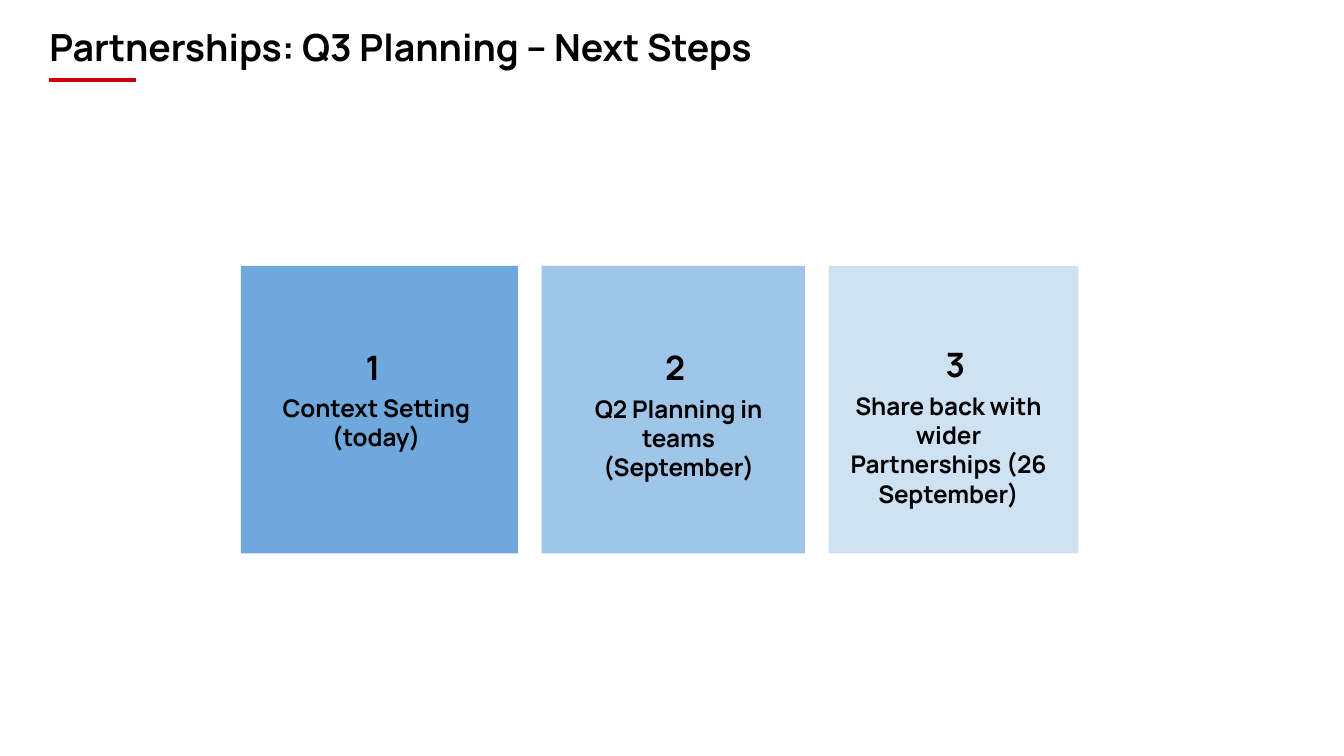
import pptx
import pptx.dml.color
import pptx.enum.shapes
import pptx.enum.text
import pptx.util
from lxml import etree

Pt = pptx.util.Pt
RGBColor = pptx.dml.color.RGBColor
Align = pptx.enum.text.PP_ALIGN

# Content
TITLE = "Partnerships: Q3 Planning – Next Steps"
STEPS = [
    {"number": "1", "caption": "Context Setting (today)", "fill": "6FA8DC",
     "width": 148.5, "caption_at": (141, 203.6, 121, 46), "number_at": (188.8, 178.5, 32, 36)},
    {"number": "2", "caption": "Q2 Planning in teams (September)", "fill": "9FC5E8",
     "width": 141, "caption_at": (303, 204, 121, 62), "number_at": (349.2, 178.5, 32, 36)},
    {"number": "3", "caption": "Share back with wider Partnerships (26 September)", "fill": "CFE2F3",
     "width": 133.75, "caption_at": (447.6, 202.5, 121, 78), "number_at": (499.5, 177, 40, 36)},
]

# Theme and layout
THEME = {"font": "Manrope", "ink": "000000", "accent": "CC0000",
         "title": 20, "number": 18, "caption": 13}
PAGE_SIZE = (720, 405)
TITLE_AT = (26.4, 15.84, 617, 46.8)
RULE = (26.4, 43, 72.72, 43)
CARD_LEFT, CARD_TOP, CARD_HEIGHT, CARD_GAP = 129, 142.5, 154, 12.75


def points(values):
    return [Pt(value) for value in values]


def write(box, text, size, align, margin):
    frame = box.text_frame
    settings = {"word_wrap": True, "auto_size": pptx.enum.text.MSO_AUTO_SIZE.NONE,
                "vertical_anchor": pptx.enum.text.MSO_ANCHOR.TOP}
    settings.update({f"margin_{side}": Pt(margin) for side in ("left", "top", "right", "bottom")})
    for name, value in settings.items():
        setattr(frame, name, value)
    para = frame.paragraphs[0]
    para.alignment = align
    span = para.add_run()
    span.text = text
    for name, value in {"name": THEME["font"], "size": Pt(size), "bold": True}.items():
        setattr(span.font, name, value)
    span.font.color.rgb = RGBColor.from_string(THEME["ink"])
    return para


deck = pptx.Presentation()
deck.slide_width, deck.slide_height = points(PAGE_SIZE)
page = deck.slides.add_slide(deck.slide_layouts[5])

# Title
title = page.shapes.title
title.left, title.top, title.width, title.height = points(TITLE_AT)
write(title, TITLE, THEME["title"], Align.LEFT, 0).line_spacing = 0.9

# Red rule under the title
rule = page.shapes.add_connector(pptx.enum.shapes.MSO_CONNECTOR.STRAIGHT, *points(RULE))
rule.line.color.rgb = RGBColor.from_string(THEME["accent"])
rule.line.width = Pt(2.25)
etree.SubElement(rule.element.spPr, pptx.oxml.ns.qn("a:effectLst"))

# Step cards, each with its number and caption
left = CARD_LEFT
for step in STEPS:
    card = page.shapes.add_shape(pptx.enum.shapes.MSO_SHAPE.RECTANGLE,
                                 *points((left, CARD_TOP, step["width"], CARD_HEIGHT)))
    card.shadow.inherit = False
    card.fill.solid()
    card.fill.fore_color.rgb = RGBColor.from_string(step["fill"])
    card.line.fill.background()
    for part, align in (("number", Align.LEFT), ("caption", Align.CENTER)):
        box = page.shapes.add_textbox(*points(step[f"{part}_at"]))
        write(box, step[part], THEME[part], align, 7.2)
    left += step["width"] + CARD_GAP

deck.save("out.pptx")
